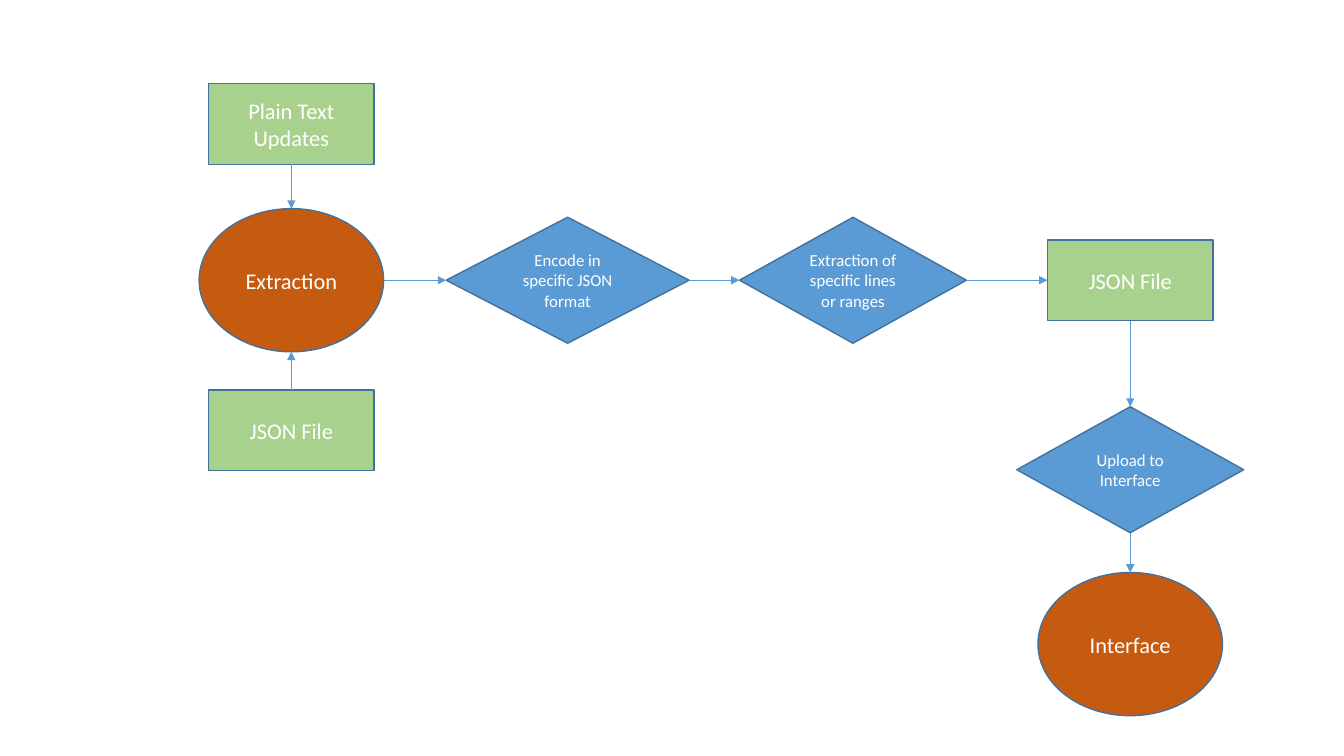
import dataclasses
import lxml.etree
import pptx
import pptx.dml.color
import pptx.enum.shapes
import pptx.enum.text
import pptx.oxml.ns
import pptx.util

Inches = pptx.util.Inches
Pt = pptx.util.Pt
Color = pptx.dml.color.RGBColor.from_string
Preset = pptx.enum.shapes.MSO_SHAPE
TOP, LEFT, BOTTOM, RIGHT = range(4)


@dataclasses.dataclass(frozen=True)
class Theme:
    font: str = "Calibri"
    text: str = "FFFFFF"
    data: str = "A9D18E"
    process: str = "C55A11"
    step: str = "5B9BD5"
    outline: str = "41719C"
    arrow: str = "5B9BD5"
    large: float = 16
    small: float = 12
    outline_width: float = 1
    arrow_width: float = 0.5


class Flowchart:
    def __init__(self, slide, theme):
        self.slide = slide
        self.theme = theme

    def node(self, preset, text, center, size, fill, text_size):
        (x, y), (width, height) = center, size
        box = self.slide.shapes.add_shape(
            preset, Inches(x - width / 2), Inches(y - height / 2),
            Inches(width), Inches(height))
        box.shadow.inherit = False
        box.fill.solid()
        box.fill.fore_color.rgb = Color(fill)
        box.line.color.rgb = Color(self.theme.outline)
        box.line.width = Pt(self.theme.outline_width)
        frame = box.text_frame
        frame.word_wrap = True
        frame.vertical_anchor = pptx.enum.text.MSO_ANCHOR.MIDDLE
        para = frame.paragraphs[0]
        para.text = text
        para.alignment = pptx.enum.text.PP_ALIGN.CENTER
        para.font.name = self.theme.font
        para.font.size = Pt(text_size)
        para.font.color.rgb = Color(self.theme.text)
        return box

    def data(self, text, x, y):
        return self.node(Preset.RECTANGLE, text, (x, y), (1.64, 0.8),
                         self.theme.data, self.theme.large)

    def process(self, text, x, y):
        return self.node(Preset.OVAL, text, (x, y), (1.83, 1.42),
                         self.theme.process, self.theme.large)

    def step(self, text, x, y, width=2.25):
        return self.node(Preset.DIAMOND, text, (x, y), (width, 1.25),
                         self.theme.step, self.theme.small)

    def side_point(self, box, side):
        across = {LEFT: 0, RIGHT: box.width}.get(side, box.width // 2)
        down = {TOP: 0, BOTTOM: box.height}.get(side, box.height // 2)
        return box.left + across, box.top + down

    def arrow(self, source, source_side, target, target_side):
        line = self.slide.shapes.add_connector(
            pptx.enum.shapes.MSO_CONNECTOR.STRAIGHT,
            *self.side_point(source, source_side),
            *self.side_point(target, target_side))
        if source.auto_shape_type != Preset.OVAL:
            line.begin_connect(source, source_side)
        if target.auto_shape_type != Preset.OVAL or target_side == TOP:
            line.end_connect(target, target_side)
        line.line.color.rgb = Color(self.theme.arrow)
        line.line.width = Pt(self.theme.arrow_width)
        qn = pptx.oxml.ns.qn
        properties = line.element.spPr
        outline = properties.find(qn("a:ln"))
        lxml.etree.SubElement(outline, qn("a:tailEnd"), type="triangle")
        lxml.etree.SubElement(properties, qn("a:effectLst"))


def main():
    deck = pptx.Presentation()
    deck.slide_width = Inches(13.33)
    deck.slide_height = Inches(7.5)
    page = deck.slides.add_slide(deck.slide_layouts.get_by_name("Blank"))
    chart = Flowchart(page, Theme())

    first, second, third, last = 2.89, 5.63, 8.46, 11.21
    row = 2.78
    extraction = chart.process("Extraction", first, row)
    text_input = chart.data("Plain Text Updates", first, 1.23)
    json_input = chart.data("JSON File", first, 4.27)
    encode = chart.step("Encode in specific JSON format", second, row, 2.41)
    select = chart.step("Extraction of specific lines or ranges", third, row)
    json_output = chart.data("JSON File", last, row)
    upload = chart.step("Upload to Interface", last, 4.66)
    interface = chart.process("Interface", last, 6.39)

    chart.arrow(text_input, BOTTOM, extraction, TOP)
    chart.arrow(json_input, TOP, extraction, BOTTOM)
    across = [extraction, encode, select, json_output]
    for source, target in zip(across, across[1:]):
        chart.arrow(source, RIGHT, target, LEFT)
    down = [json_output, upload, interface]
    for source, target in zip(down, down[1:]):
        chart.arrow(source, BOTTOM, target, TOP)

    deck.save("out.pptx")


if __name__ == "__main__":
    main()
